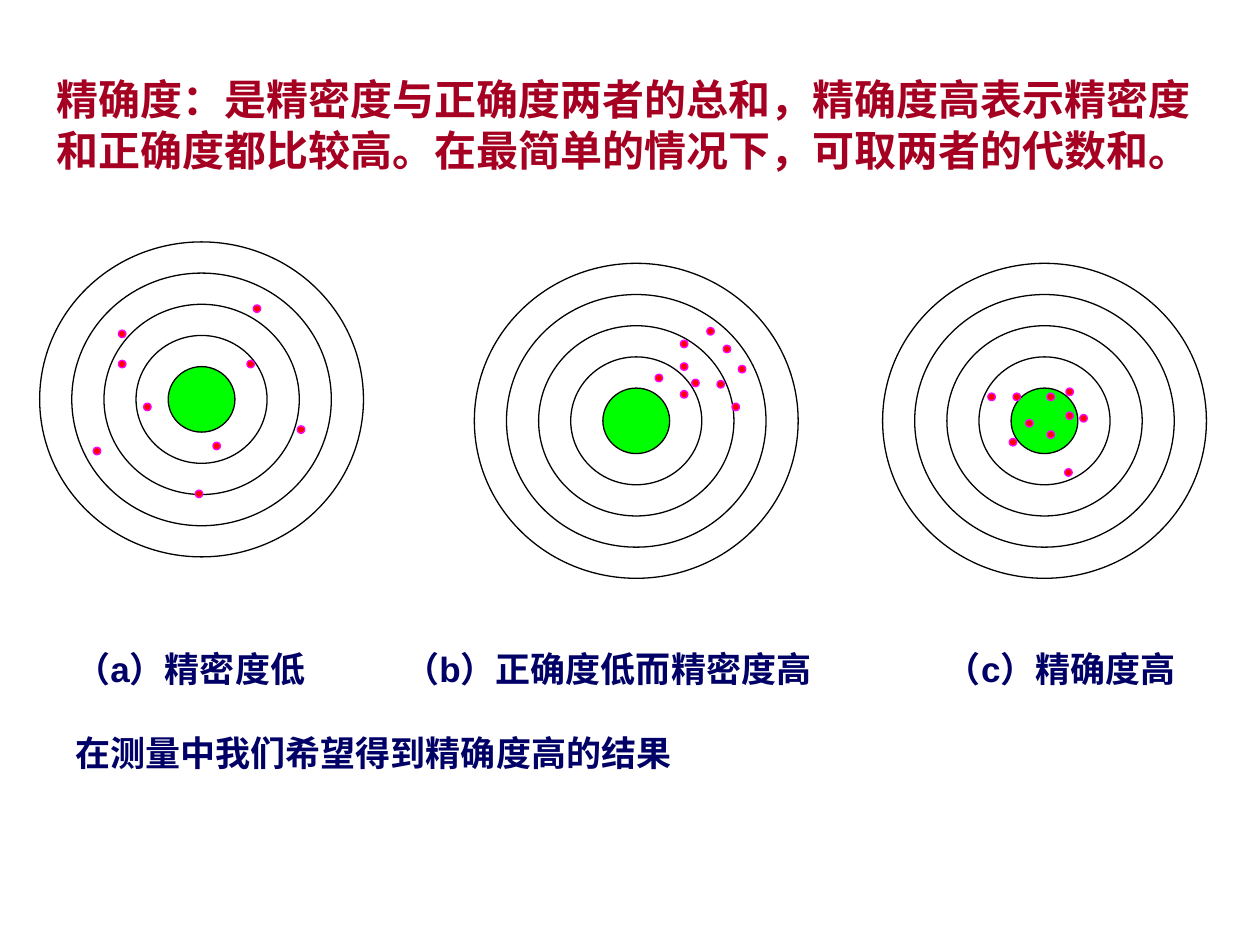
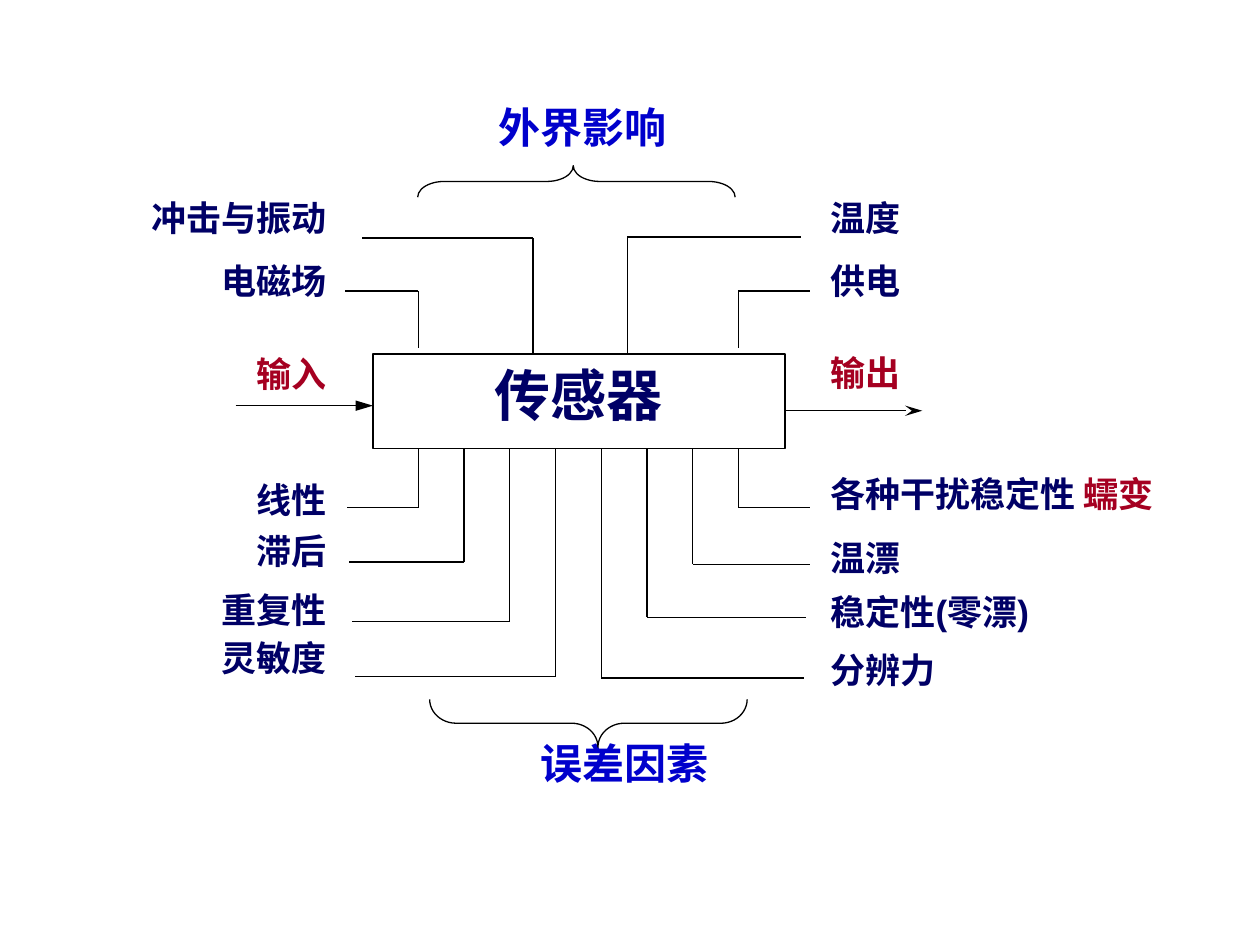
from dataclasses import dataclass

from lxml import etree
from pptx import Presentation
from pptx.dml.color import RGBColor
from pptx.enum import shapes, text
from pptx.oxml import ns
from pptx.util import Inches, Pt


@dataclass(frozen=True)
class Theme:
    font: str = "Arial"
    navy: str = "000066"
    blue: str = "0000CC"
    crimson: str = "A50021"
    black: str = "000000"
    white: str = "FFFFFF"
    green: str = "00FF00"
    red: str = "FF0000"
    magenta: str = "FF00FF"
    body: int = 20
    heading: int = 24
    block: int = 32
    line: float = 0.75


THEME = Theme()
LEFT, CENTER, RIGHT = text.PP_ALIGN.LEFT, text.PP_ALIGN.CENTER, text.PP_ALIGN.RIGHT
SHAPE = shapes.MSO_SHAPE

BULLSEYE = 0.53, 0.52
RING_STEP = 0.51, 0.495
RINGS = 5
HIT_SIZE = 0.06

# Centre of each target, then the centres of its hits.
TARGETS = [
    ((1.6, 3.17), [(1.72, 3.54), (1.17, 3.23), (1.99, 2.89), (0.97, 2.89), (1.58, 3.92),
                   (2.39, 3.41), (2.04, 2.45), (0.97, 2.65), (0.77, 3.58)]),
    ((5.05, 3.34), [(5.43, 3.13), (5.23, 3.0), (5.43, 2.91), (5.52, 3.04), (5.43, 2.73),
                    (5.72, 3.05), (5.64, 2.63), (5.77, 2.77), (5.89, 2.93), (5.84, 3.23)]),
    ((8.29, 3.34), [(8.34, 3.45), (8.17, 3.36), (8.34, 3.15), (8.49, 3.3), (8.49, 3.11),
                    (8.6, 3.32), (8.07, 3.15), (8.04, 3.51), (8.48, 3.75), (7.87, 3.15)]),
]

SENSOR = 2.96, 2.81, 3.27, 0.75
SENSOR_TOP, SENSOR_BOTTOM = 2.81, 3.56
LEG_LEFT, LEG_STEP = 3.32, 0.363
LABEL_LEFT, LABEL_RIGHT = 6.59, 2.59

# Label, label top, branch height, outer end of the branch; outermost leg first.
LEFT_ERRORS = [("线性", 3.8, 4.03, 2.75), ("滞后", 4.2, 4.46, 2.77),
               ("重复性", 4.67, 4.93, 2.79), ("灵敏度", 5.05, 5.37, 2.82)]
RIGHT_ERRORS = [([("各种干扰稳定性 ", THEME.navy), ("蠕变", THEME.crimson)], 3.75, 4.03, 6.43),
                ("温漂", 4.26, 4.48, 6.43), ("稳定性(零漂)", 4.69, 4.9, 6.4),
                ("分辨力", 5.15, 5.38, 6.38)]
# Label, label top, leg x, leg end, branch height, outer end of the branch.
LEFT_INFLUENCES = [("冲击与振动", 1.56, 4.23, SENSOR_TOP, 1.89, 2.87),
                   ("电磁场", 2.06, LEG_LEFT, 2.76, 2.31, 2.74)]
RIGHT_INFLUENCES = [("温度", 1.56, 4.98, SENSOR_TOP, 1.88, 6.36),
                    ("供电", 2.06, 5.86, 2.76, 2.31, 6.43)]


def inches(values):
    return [Inches(v) for v in values]


def write(tf, content, size=THEME.body, color=THEME.navy, align=LEFT, inset=(0.1, 0.05),
          anchor=text.MSO_ANCHOR.TOP, gap=0, tabs=()):
    """Fill a frame; content is a string (one paragraph a line) or a list of (text, colour)."""
    tf.word_wrap = True
    tf.vertical_anchor = anchor
    tf.margin_left = tf.margin_right = Inches(inset[0])
    tf.margin_top = tf.margin_bottom = Inches(inset[1])
    if isinstance(content, str):
        paragraphs = [[(part, color)] for part in content.split("\n")]
    else:
        paragraphs = [content]
    for i, runs in enumerate(paragraphs):
        p = tf.add_paragraph() if i else tf.paragraphs[0]
        p.alignment = align
        if i:
            p.space_before = Pt(gap)
        if tabs:
            tab_list = etree.SubElement(p._p.get_or_add_pPr(), ns.qn("a:tabLst"))
            for tab in tabs:
                etree.SubElement(tab_list, ns.qn("a:tab"), pos=str(Inches(tab)), algn="l")
        for words, run_color in runs:
            r = p.add_run()
            r.text = words
            r.font.name = THEME.font
            r.font.size = Pt(size)
            r.font.bold = True
            r.font.color.rgb = RGBColor.from_string(run_color)


def add_text(slide, box, content, **fmt):
    write(slide.shapes.add_textbox(*inches(box)).text_frame, content, **fmt)


def add_label(slide, content, top, on_left, **fmt):
    """Place a label whose inner edge lines up with the others on its side."""
    width = 2.74
    left = LABEL_RIGHT - width if on_left else LABEL_LEFT
    add_text(slide, (left, top, width, 0.5), content, inset=(0, 0),
             align=RIGHT if on_left else LEFT, **fmt)


def add_outline(slide, kind, box, fill=None, line=THEME.black):
    sp = slide.shapes.add_shape(kind, *inches(box))
    sp.shadow.inherit = False
    if fill:
        sp.fill.solid()
        sp.fill.fore_color.rgb = RGBColor.from_string(fill)
    else:
        sp.fill.background()
    sp.line.color.rgb = RGBColor.from_string(line)
    sp.line.width = Pt(THEME.line)
    return sp


def add_ellipse(slide, center, size, **fmt):
    (x, y), (w, h) = center, size
    add_outline(slide, SHAPE.OVAL, (x - w / 2, y - h / 2, w, h), **fmt)


def add_target(slide, center):
    for i in range(RINGS):
        size = [base + i * step for base, step in zip(BULLSEYE, RING_STEP)]
        add_ellipse(slide, center, size, fill=None if i else THEME.green)


def add_line(slide, start, end, arrow=None):
    cn = slide.shapes.add_connector(shapes.MSO_CONNECTOR.STRAIGHT, *inches(start + end))
    cn.line.color.rgb = RGBColor.from_string(THEME.black)
    cn.line.width = Pt(THEME.line)
    if arrow:
        etree.SubElement(cn.line._get_or_add_ln(), ns.qn("a:tailEnd"),
                         type=arrow, w="med", len="lg")
    etree.SubElement(cn._element.spPr, ns.qn("a:effectLst"))


def add_branch(slide, leg_x, leg_end, branch_y, outer_x):
    """Draw a leg from the sensor and the branch that runs from it to a label."""
    add_line(slide, (leg_x, leg_end), (leg_x, branch_y))
    add_line(slide, (leg_x, branch_y), (outer_x, branch_y))


def add_brace(slide, box, rotation, curve, tip):
    sp = add_outline(slide, SHAPE.RIGHT_BRACE, box)
    sp.rotation = rotation
    sp.adjustments[0] = curve
    sp.adjustments[1] = tip


def build_accuracy(slide):
    add_text(slide, (0.35, 0.36, 9.3, 1.25),
             "精确度：是精密度与正确度两者的总和，精确度高表示精密度和正确度都比较高。"
             "在最简单的情况下，可取两者的代数和。",
             size=THEME.heading, color=THEME.crimson, anchor=text.MSO_ANCHOR.MIDDLE)
    for center, hits in TARGETS:
        add_target(slide, center)
        for hit in hits:
            add_ellipse(slide, hit, (HIT_SIZE, HIT_SIZE), fill=THEME.red, line=THEME.magenta)
    add_text(slide, (0.5, 5.09, 9.5, 1.1),
             "（a）精密度低\t（b）正确度低而精密度高\t（c）精确度高\n"
             "在测量中我们希望得到精确度高的结果", gap=24, tabs=(2.61, 6.91))


def build_sensor(slide):
    sensor = add_outline(slide, SHAPE.RECTANGLE, SENSOR, fill=THEME.white)
    write(sensor.text_frame, "传感器", size=THEME.block, align=CENTER)

    for on_left, rows in ((True, LEFT_INFLUENCES), (False, RIGHT_INFLUENCES)):
        for label, top, *branch in rows:
            add_label(slide, label, top, on_left)
            add_branch(slide, *branch)
    for on_left, rows in ((True, LEFT_ERRORS), (False, RIGHT_ERRORS)):
        for i, (label, top, branch_y, outer_x) in enumerate(rows):
            leg_x = LEG_LEFT + LEG_STEP * (i if on_left else 7 - i)
            add_label(slide, label, top, on_left)
            add_branch(slide, leg_x, SENSOR_BOTTOM, branch_y, outer_x)

    add_label(slide, "输入", 2.8, True, color=THEME.crimson)
    add_label(slide, "输出", 2.79, False, color=THEME.crimson)
    add_line(slide, (1.87, 3.22), (2.96, 3.22), arrow="triangle")
    add_line(slide, (6.23, 3.26), (7.32, 3.26), arrow="stealth")

    for box, title in (((1.9, 0.76, 5.45, 0.75), "外界影响"),
                       ((2.23, 5.8, 5.45, 0.75), "误差因素")):
        add_text(slide, box, title, size=THEME.heading, color=THEME.blue, align=CENTER)
    add_brace(slide, (4.45, 0.18, 0.25, 2.52), 270, curve=0.84, tip=0.49)
    add_brace(slide, (4.48, 4.48, 0.38, 2.52), 90, curve=0.55, tip=0.47)


def main():
    prs = Presentation()
    prs.slide_width, prs.slide_height = Inches(10), Inches(7.5)
    for build in (build_accuracy, build_sensor):
        build(prs.slides.add_slide(prs.slide_layouts[6]))
    prs.save("out.pptx")


if __name__ == "__main__":
    main()
